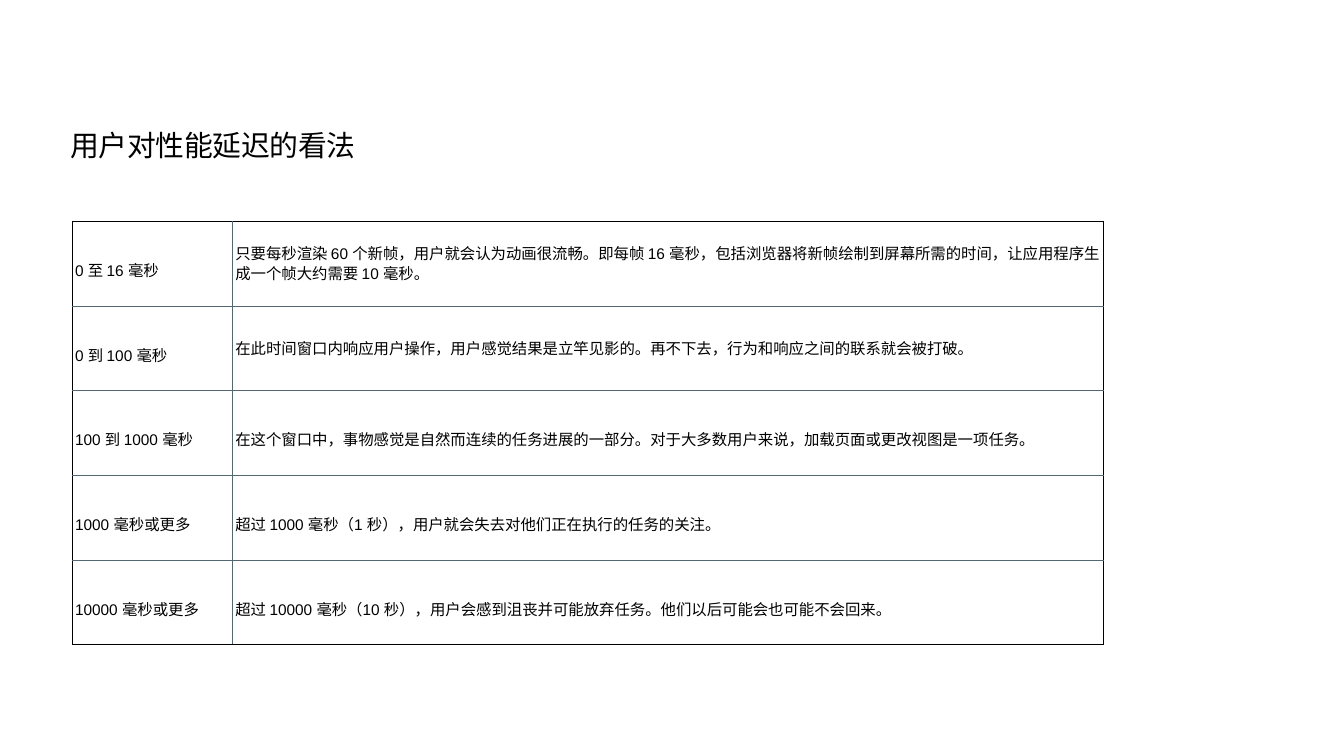
from lxml import etree
from pptx import Presentation
from pptx import util as u
from pptx.dml import color
from pptx.enum import text
from pptx.oxml import ns

COLORS = {"ink": "000000", "frame": "000000", "grid": "536773", "page": "FFFFFF"}
INSET = u.Inches(0.06)
LOOSE = u.Pt(50)
TIGHT = 0.9

# Delay range, how users perceive it, line spacing of the perception
DELAYS = [
    ("0 至 16 毫秒",
     "只要每秒渲染 60 个新帧，用户就会认为动画很流畅。即每帧 16 毫秒，包括浏览器将新帧绘制到屏幕所需的时间，"
     "让应用程序生成一个帧大约需要 10 毫秒。", TIGHT),
    ("0 到 100 毫秒",
     "在此时间窗口内响应用户操作，用户感觉结果是立竿见影的。再不下去，行为和响应之间的联系就会被打破。", TIGHT),
    ("100 到 1000 毫秒",
     "在这个窗口中，事物感觉是自然而连续的任务进展的一部分。对于大多数用户来说，加载页面或更改视图是一项任务。", LOOSE),
    ("1000 毫秒或更多",
     "超过 1000 毫秒（1 秒），用户就会失去对他们正在执行的任务的关注。", LOOSE),
    ("10000 毫秒或更多",
     "超过 10000 毫秒（10 秒），用户会感到沮丧并可能放弃任务。他们以后可能会也可能不会回来。", LOOSE),
]


def rgb(name):
    return color.RGBColor.from_string(COLORS[name])


def write(frame, wording, *, size, font, line_spacing, tracking=None):
    paragraph = frame.paragraphs[0]
    paragraph.alignment = text.PP_ALIGN.LEFT
    paragraph.line_spacing = line_spacing
    run = paragraph.add_run()
    run.text = wording
    run.font.size = u.Pt(size)
    run.font.name = font
    run.font.color.rgb = rgb("ink")
    if tracking is not None:
        run.font._element.set("spc", str(round(tracking * 100)))


def add_heading(slide, wording):
    heading = slide.shapes.title
    heading.left, heading.top = u.Inches(1.33), u.Inches(2.61)
    heading.width, heading.height = u.Inches(24), u.Inches(0.91)
    frame = heading.text_frame
    frame.word_wrap = True
    frame.auto_size = text.MSO_AUTO_SIZE.NONE
    frame.vertical_anchor = text.MSO_ANCHOR.TOP
    frame.margin_left = frame.margin_right = INSET
    frame.margin_top = frame.margin_bottom = INSET
    write(frame, wording, size=41.2, font="Lato", line_spacing=0.8, tracking=-0.4)


def set_borders(cell, outer_sides):
    """Draw all four borders; the sides named in outer_sides get the frame colour."""
    properties = cell._tc.get_or_add_tcPr()
    for index, side in enumerate("LRTB"):
        line = etree.Element(ns.qn(f"a:ln{side}"), w=str(u.Pt(1)))
        fill = etree.SubElement(line, ns.qn("a:solidFill"))
        shade = COLORS["frame" if side in outer_sides else "grid"]
        etree.SubElement(fill, ns.qn("a:srgbClr"), val=shade)
        properties.insert(index, line)


def add_delay_table(slide):
    last = len(DELAYS) - 1
    table = slide.shapes.add_table(
        len(DELAYS), 2, u.Inches(1.43), u.Inches(4.39),
        u.Inches(20.47), u.Inches(1.68 * len(DELAYS))).table
    table.first_row = table.horz_banding = False
    table.columns[0].width, table.columns[1].width = u.Inches(3.18), u.Inches(17.29)
    for r, (delay, perception, spacing) in enumerate(DELAYS):
        table.rows[r].height = u.Inches(1.68)
        row_sides = ("T" if r == 0 else "") + ("B" if r == last else "")
        entries = [(delay, LOOSE, "L"), (perception, spacing, "R")]
        for c, (wording, line_spacing, side) in enumerate(entries):
            cell = table.cell(r, c)
            cell.fill.background()
            cell.vertical_anchor = text.MSO_ANCHOR.MIDDLE
            cell.margin_left = cell.margin_right = INSET
            cell.margin_top = cell.margin_bottom = INSET
            write(cell.text_frame, wording, size=22, font="Arial", line_spacing=line_spacing)
            set_borders(cell, side + row_sides)


def main():
    deck = Presentation()
    deck.slide_width, deck.slide_height = u.Inches(26.67), u.Inches(15)
    slide = deck.slides.add_slide(deck.slide_layouts.get_by_name("Title Only"))
    slide.background.fill.solid()
    slide.background.fill.fore_color.rgb = rgb("page")
    add_heading(slide, "用户对性能延迟的看法")
    add_delay_table(slide)
    deck.save("out.pptx")


if __name__ == "__main__":
    main()
